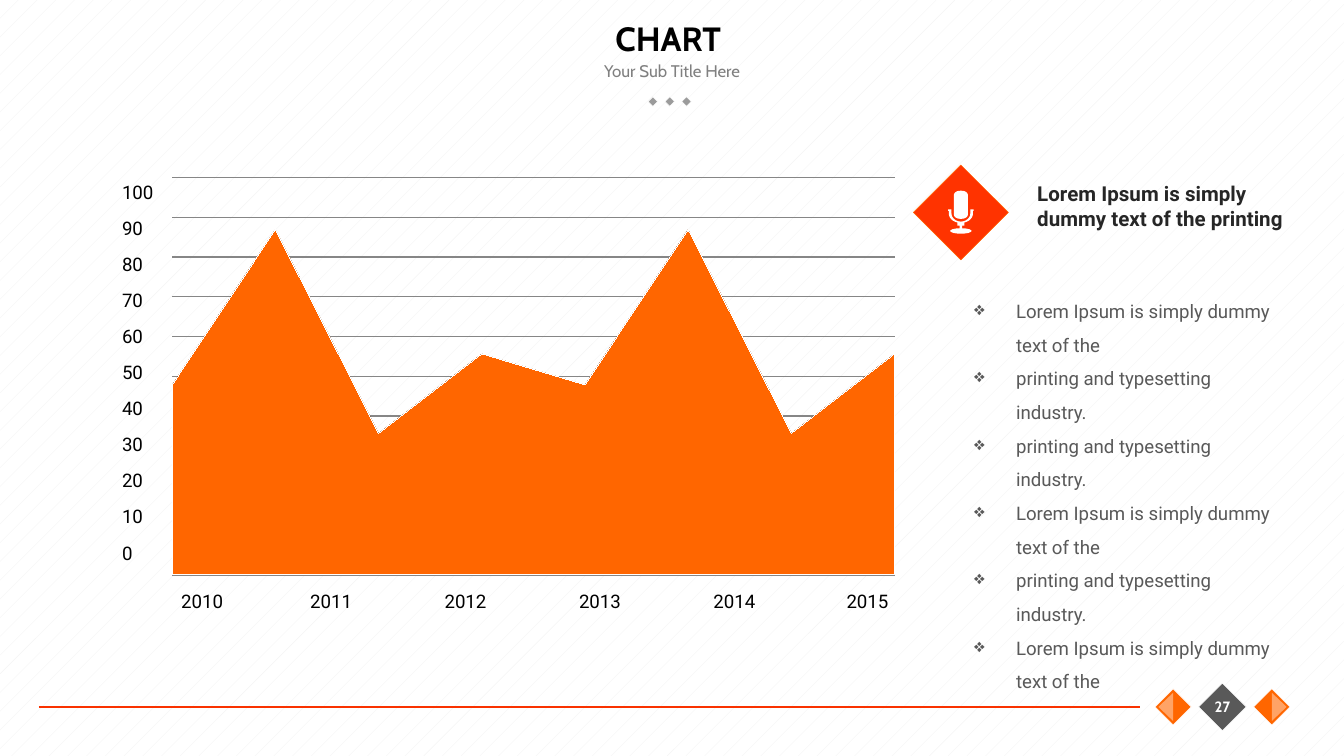
from math import cos, radians, sin
from typing import NamedTuple

from lxml import etree
from pptx import Presentation
from pptx import util as u
from pptx.chart import data as chart_data
from pptx.dml import color
from pptx.enum import chart as charts, dml, shapes, text
from pptx.oxml import ns

Pt = u.Pt


class Theme:
    """Colours and type styles of the slide."""
    orange, light_orange, red, rule = "FF6600", "FFA366", "FF3300", "F93200"
    white, grey, dark, dots, grid = "FFFFFF", "595959", "0C0C0C", "9B9B9B", "868686"
    title = dict(name="Cabin", size=18, bold=True, color="000000")
    subtitle = dict(name="Cabin", size=9, bold=False, color="808080")
    page = dict(name="Cabin", size=8, bold=True, color="FFFFFF")
    label = dict(name="Roboto", size=10, bold=False, color="000000")
    heading = dict(name="Roboto", size=11, bold=True, color="262626")
    body = dict(name="Roboto", size=10, bold=False, color="595959")


class Box(NamedTuple):
    """An area in points."""
    x: float
    y: float
    w: float
    h: float

    def emu(self):
        return [Pt(v) for v in self]


def rgb(value):
    return color.RGBColor.from_string(value)


def set_font(font, style):
    for key, value in style.items():
        if key == "color":
            font.color.rgb = rgb(value)
        else:
            setattr(font, key, Pt(value) if key == "size" else value)


def write(frame, paragraphs, style, **formats):
    frame.text = "\n".join(paragraphs)
    for paragraph in frame.paragraphs:
        for key, value in formats.items():
            setattr(paragraph, key, value)
        for run in paragraph.runs:
            set_font(run.font, style)


def add_text(slide, box, paragraphs, style, wrap=True, middle=False, **formats):
    frame = slide.shapes.add_textbox(*box.emu()).text_frame
    frame.word_wrap = wrap
    if middle:
        frame.vertical_anchor = text.MSO_ANCHOR.MIDDLE
    write(frame, paragraphs, style, **formats)
    return frame


def paint(shape, fill, line=None):
    shape.shadow.inherit = False
    shape.fill.solid()
    shape.fill.fore_color.rgb = rgb(fill)
    if line:
        shape.line.color.rgb = rgb(line)
        shape.line.width = Pt(0.25)
    else:
        shape.line.fill.background()


def add_turned(slide, kind, cx, cy, w, h, turn, fill, line=None):
    """Place a rotated shape around its centre."""
    shape = slide.shapes.add_shape(kind, *Box(cx - w / 2, cy - h / 2, w, h).emu())
    shape.rotation = turn
    paint(shape, fill, line)


def add_diamond(slide, cx, cy, side, fill, line=Theme.white):
    add_turned(slide, shapes.MSO_SHAPE.RECTANGLE, cx, cy, side, side, 315, fill, line)


def add_header(slide, box):
    title = slide.shapes.title
    title.left, title.top, title.width, title.height = Box(box.x, box.y, box.w, 40.5).emu()
    title.text_frame.vertical_anchor = text.MSO_ANCHOR.MIDDLE
    write(title.text_frame, ["CHART "], Theme.title, alignment=text.PP_ALIGN.CENTER)
    center = box.x + box.w / 2
    add_text(slide, Box(center - 90, box.y + 28.8, 180, 18), ["Your Sub Title Here"],
             Theme.subtitle, middle=True, alignment=text.PP_ALIGN.CENTER)
    for i in (-1, 0, 1):
        add_diamond(slide, center - 1.2 + 9 * i, box.y + 54.4, 3.6, Theme.dots)


def add_footer(slide, box):
    middle = box.y + box.h / 2
    rule = slide.shapes.add_connector(shapes.MSO_CONNECTOR.STRAIGHT, Pt(box.x), Pt(middle),
                                      Pt(box.x + 589.7), Pt(middle))
    rule.line.color.rgb = rgb(Theme.rule)
    rule.line.width = Pt(0.75)
    etree.SubElement(rule.element.spPr, ns.qn("a:effectLst"))
    # Page number between two half-lit arrows
    page_x = box.x + 634
    add_diamond(slide, page_x, middle, 18, Theme.grey)
    for side, turn in ((1, 90), (-1, 270)):
        add_diamond(slide, page_x + side * 26.4, middle, 13.7, Theme.orange)
        add_turned(slide, shapes.MSO_SHAPE.FLOWCHART_EXTRACT, page_x + side * 30.4, middle,
                   15.1, 7.9, turn, Theme.light_orange)
    add_text(slide, Box(page_x - 15.1, middle - 9, 30.2, 18), ["27"], Theme.page,
             middle=True, alignment=text.PP_ALIGN.CENTER)


def add_area_chart(slide, box):
    values = chart_data.CategoryChartData()
    values.categories = [str(n) for n in range(1, 9)]
    empty = [None] * 8
    for name, points in (("Series 1", empty), ("Series 2", [55, 100, 41, 64] * 2),
                         ("Series 3", empty)):
        values.add_series(name, points)
    chart = slide.shapes.add_chart(charts.XL_CHART_TYPE.AREA_STACKED, *box.emu(), values).chart
    chart.has_legend = chart.has_title = False
    set_font(chart.font, Theme.label | dict(size=18))
    for series, fill in zip(chart.plots[0].series, (Theme.red, Theme.orange, Theme.dark)):
        series.format.fill.solid()
        series.format.fill.fore_color.rgb = rgb(fill)
        series.format.line.color.rgb = rgb(Theme.white)
    chart.category_axis.visible = chart.value_axis.visible = False
    scale = dict(minimum_scale=0, maximum_scale=115, major_unit=11.5, has_major_gridlines=True)
    for key, value in scale.items():
        setattr(chart.value_axis, key, value)
    grid = chart.value_axis.major_gridlines.format.line
    grid.color.rgb = rgb(Theme.grid)
    grid.width = Pt(0.75)
    # Fixed inner plot area
    plot = chart.plots[0]._element.getparent()
    for old in plot.findall(ns.qn("c:layout")):
        plot.remove(old)
    layout = etree.Element(ns.qn("c:layout"))
    manual = etree.SubElement(layout, ns.qn("c:manualLayout"))
    for tag, value in (("layoutTarget", "inner"), ("xMode", "edge"), ("yMode", "edge"),
                       ("x", "0.02"), ("y", "0.02"), ("w", "0.96"), ("h", "0.96")):
        etree.SubElement(manual, ns.qn("c:" + tag)).set("val", value)
    plot.insert(0, layout)


def add_chart_region(slide, box):
    add_area_chart(slide, Box(box.x + 25.9, box.y, 403.2, 221.8))
    # Scale from 0 up to 100, then the years below
    for i in range(11):
        add_text(slide, Box(box.x, box.y + 195.8 - 19.3 * i, 31, 19.4), [str(10 * i)],
                 Theme.label, wrap=False)
    for i, x in enumerate((31.7, 100.8, 172.8, 244.8, 316.8, 388.1)):
        add_text(slide, Box(box.x + x, box.y + 221.8, 36.7, 19.4), [str(2010 + i)],
                 Theme.label, wrap=False)


def arc(cx, cy, rx, ry, start, end, steps=16):
    angles = [radians(start + (end - start) * i / steps) for i in range(steps + 1)]
    return [(cx + rx * cos(a), cy + ry * sin(a)) for a in angles]


def add_microphone(slide, cx, top):
    """Draw the icon in thousandths of an inch from its top centre."""
    stand = ([(95, 140), (70, 140)] + arc(0, 170, 70, 60, 0, 180)
             + [(-70, 140), (-95, 140), (-95, 150), (-90, 150)]
             + arc(0, 170, 90, 70, 180, 107) + [(-26, 260), (-10, 260)]
             + arc(0, 300, 80, 20, 263, -83) + [(10, 260), (26, 260)]
             + arc(0, 170, 90, 70, 73, 0) + [(90, 150), (95, 150)])
    head = arc(0, 32, 52, 32, 180, 360) + arc(0, 178, 52, 32, 0, 180)
    outline = slide.shapes.build_freeform(*stand[0], scale=Pt(0.072))
    outline.add_line_segments(stand[1:])
    outline.move_to(*head[0])
    outline.add_line_segments(head[1:])
    paint(outline.convert_to_shape(Pt(cx), Pt(top)), Theme.white)


def add_notes_region(slide, box):
    add_text(slide, Box(box.x + 51.8, box.y, 146.2, 33.8),
             ["Lorem Ipsum is simply dummy text of the printing"], Theme.heading)
    # Bulleted list
    long, short = "Lorem Ipsum is simply dummy text of the", "printing and typesetting industry."
    frame = add_text(slide, Box(box.x + 18, box.y + 57.6, 180, 170.6),
                     [long, short, short, long, short, long], Theme.body, line_spacing=1.5)
    for paragraph in frame.paragraphs:
        props = paragraph._p.get_or_add_pPr()
        props.set("marL", str(Pt(22.5)))
        props.set("indent", str(-Pt(22.5)))
        etree.SubElement(props, ns.qn("a:buChar")).set("char", "❖")
    # Icon
    add_diamond(slide, box.x + 18, box.y + 20.2, 36, Theme.red, Theme.orange)
    add_microphone(slide, box.x + 18, box.y + 8.6)


def main():
    deck = Presentation()
    deck.slide_width, deck.slide_height = Pt(720), Pt(405)
    slide = deck.slides.add_slide(deck.slide_layouts[5])
    backdrop = slide.background.fill
    backdrop.patterned()
    backdrop.pattern = dml.MSO_PATTERN.PERCENT_5
    backdrop.fore_color.rgb, backdrop.back_color.rgb = rgb("F2F2F2"), rgb(Theme.white)
    add_header(slide, Box(54, 0, 612, 58))
    add_footer(slide, Box(20.9, 366, 670, 25.4))
    add_chart_region(slide, Box(58.3, 90.7, 430, 241))
    add_notes_region(slide, Box(496.8, 93.6, 198, 280))
    deck.save("out.pptx")


if __name__ == "__main__":
    main()
